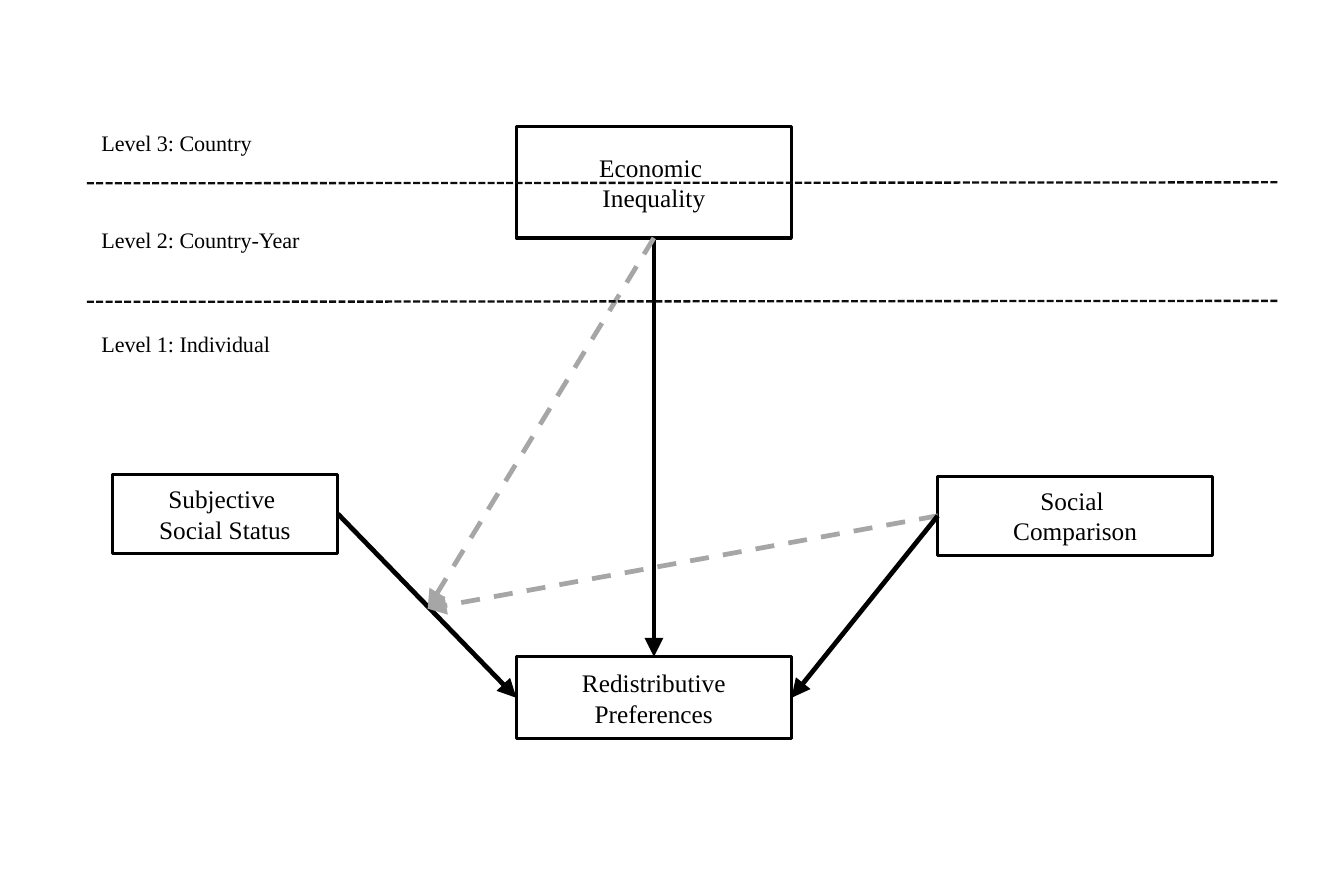
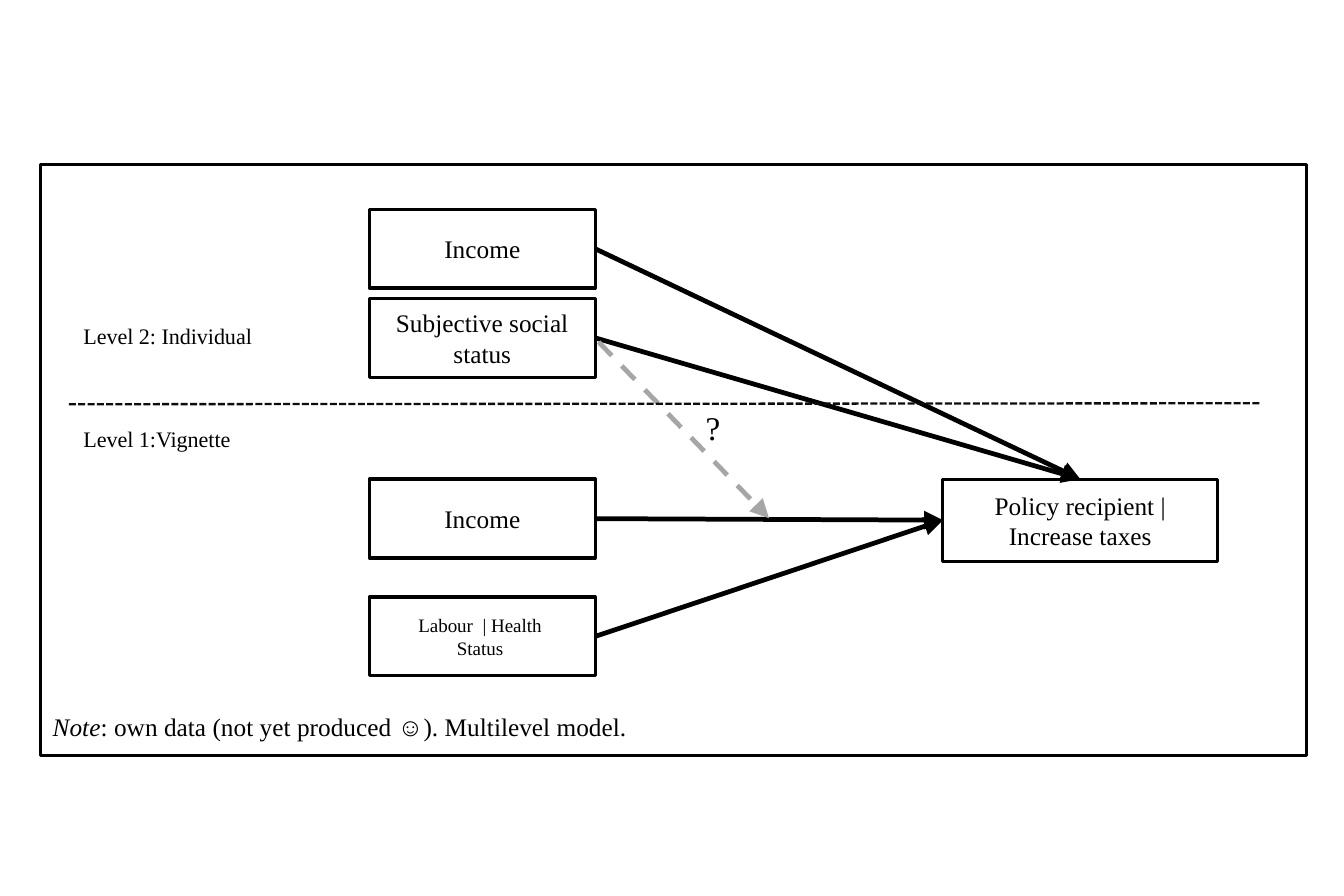
"""Build two multilevel path diagrams as slides."""
from dataclasses import dataclass
from typing import Union

import lxml.etree
import pptx
import pptx.dml.color
import pptx.enum.dml
import pptx.enum.shapes
import pptx.enum.text
import pptx.oxml.ns
import pptx.shapes.autoshape
import pptx.shapes.connector
import pptx.slide
import pptx.util

Pt = pptx.util.Pt
qn = pptx.oxml.ns.qn
Dash = pptx.enum.dml.MSO_LINE
Align = pptx.enum.text.PP_ALIGN
Anchor = pptx.enum.text.MSO_ANCHOR
Shape = pptx.shapes.autoshape.Shape

COLORS = {"ink": "000000", "paper": "FFFFFF", "moderation": "A6A6A6", "divider": "0D0D0D"}
FONT = "Times New Roman"
TOP, LEFT, BOTTOM, RIGHT = range(4)
TIGHT = (4.6, 2.3)
ROOMY = (7.2, 3.6)
WIDE, NARROW = 87, 71.4
LOW, MIDDLE, TALL = 25, 26, 35.4
LABEL_WIDTH, LABEL_HEIGHT = 84, 14
DIVIDER_WIDTH, DIVIDER_RISE = 377, 0.3


@dataclass(frozen=True)
class Area:
    left: float
    top: float
    width: float
    height: float


@dataclass(frozen=True)
class Node:
    key: str
    area: Area
    lines: tuple[str, ...]
    size: float = 8


@dataclass(frozen=True)
class Label:
    top: float
    text: str


@dataclass(frozen=True)
class Spot:
    x: float
    y: float


@dataclass(frozen=True)
class Joint:
    key: str
    side: int


@dataclass(frozen=True)
class Stroke:
    color: str
    width: float
    dash: Union[Dash, None] = None
    arrow: bool = True


@dataclass(frozen=True)
class Link:
    start: Union[Spot, Joint]
    finish: Union[Spot, Joint]
    stroke: Stroke


@dataclass(frozen=True)
class Diagram:
    margin: float
    nodes: tuple[Node, ...]
    labels: tuple[Label, ...]
    links: tuple[Link, ...]
    dividers: tuple[float, ...]


EFFECT = Stroke("ink", 1.5)
MODERATION = Stroke("moderation", 1.5, Dash.DASH)
DIVIDER = Stroke("divider", 0.75, Dash.SQUARE_DOT, arrow=False)

MEETING = Spot(135.3, 192.6)
COUNTRY_MODEL = Diagram(
    margin=27.5,
    nodes=(
        Node("comparison", Area(296.7, 150.7, WIDE, LOW), ("Social ", "Comparison")),
        Node("preferences", Area(163.4, 207.8, WIDE, MIDDLE), ("Redistributive", "Preferences")),
        Node("inequality", Area(163.4, 39.9, WIDE, TALL), ("Economic ", "Inequality")),
        Node("status", Area(35.5, 150.1, NARROW, LOW), ("Subjective ", "Social Status")),
    ),
    labels=(
        Label(38, "Level 3: Country"),
        Label(69, "Level 2: Country-Year"),
        Label(101.7, "Level 1: Individual"),
    ),
    links=(
        Link(Joint("status", RIGHT), Joint("preferences", LEFT), EFFECT),
        Link(Joint("inequality", BOTTOM), Joint("preferences", TOP), EFFECT),
        Link(Joint("comparison", LEFT), MEETING, MODERATION),
        Link(Joint("inequality", BOTTOM), MEETING, MODERATION),
        Link(Joint("comparison", LEFT), Joint("preferences", RIGHT), EFFECT),
    ),
    dividers=(58, 95.5),
)

FACTOR_LEFT = 116.9
VIGNETTE_MODEL = Diagram(
    margin=21.8,
    nodes=(
        Node("policy", Area(298.3, 151.6, WIDE, MIDDLE), ("Policy recipient | Increase taxes",)),
        Node("income", Area(FACTOR_LEFT, 66.2, NARROW, LOW), ("Income",)),
        Node("status", Area(FACTOR_LEFT, 94.4, NARROW, LOW), ("Subjective social status",)),
        Node("vignette income", Area(FACTOR_LEFT, 151.6, NARROW, LOW), ("Income",)),
        Node("labour", Area(FACTOR_LEFT, 188.9, NARROW, LOW), ("Labour  | Health ", "Status "), 6),
    ),
    labels=(Label(99.2, "Level 2: Individual"), Label(131.8, "Level 1:Vignette")),
    links=(
        Link(Joint("vignette income", RIGHT), Joint("policy", LEFT), EFFECT),
        Link(Joint("income", RIGHT), Joint("policy", TOP), EFFECT),
        Link(Joint("labour", RIGHT), Joint("policy", LEFT), EFFECT),
        Link(Joint("status", RIGHT), Joint("policy", TOP), EFFECT),
        Link(Spot(189.4, 108.2), Spot(243.3, 164), MODERATION),
    ),
    dividers=(127.9,),
)


def color(name: str) -> pptx.dml.color.RGBColor:
    return pptx.dml.color.RGBColor.from_string(COLORS[name])


def place(area: Area) -> tuple[pptx.util.Length, ...]:
    return Pt(area.left), Pt(area.top), Pt(area.width), Pt(area.height)


def write(box: Shape, lines: tuple[str, ...], size: float, align: Align,
          anchor: Anchor = Anchor.MIDDLE, insets: tuple[float, float] = TIGHT,
          wrap: bool = True) -> None:
    frame = box.text_frame
    frame.word_wrap = wrap
    frame.vertical_anchor = anchor
    frame.margin_left = frame.margin_right = Pt(insets[0])
    frame.margin_top = frame.margin_bottom = Pt(insets[1])
    frame.text = "\n".join(lines)
    for para in frame.paragraphs:
        para.alignment = align
        para.font.name = FONT
        para.font.size = Pt(size)
        para.font.color.rgb = color("ink")


def draw_rectangle(page: pptx.slide.Slide, area: Area) -> Shape:
    box = page.shapes.add_shape(pptx.enum.shapes.MSO_SHAPE.RECTANGLE, *place(area))
    box.shadow.inherit = False
    box.fill.solid()
    box.fill.fore_color.rgb = color("paper")
    box.line.color.rgb = color("ink")
    box.line.width = Pt(1)
    return box


def draw_node(page: pptx.slide.Slide, node: Node) -> Shape:
    box = draw_rectangle(page, node.area)
    write(box, node.lines, node.size, Align.CENTER)
    return box


def draw_label(page: pptx.slide.Slide, label: Label, margin: float) -> None:
    box = page.shapes.add_textbox(*place(Area(margin, label.top, LABEL_WIDTH, LABEL_HEIGHT)))
    write(box, (label.text,), 7, Align.LEFT)


def draw_link(page: pptx.slide.Slide, link: Link, boxes: dict[str, Shape]) -> None:
    start, finish = (end if isinstance(end, Spot) else Spot(0, 0)
                     for end in (link.start, link.finish))
    connector = page.shapes.add_connector(
        pptx.enum.shapes.MSO_CONNECTOR.STRAIGHT,
        Pt(start.x), Pt(start.y), Pt(finish.x), Pt(finish.y))
    for end, join in ((link.start, connector.begin_connect), (link.finish, connector.end_connect)):
        if isinstance(end, Joint):
            join(boxes[end.key], end.side)
    connector.line.color.rgb = color(link.stroke.color)
    connector.line.width = Pt(link.stroke.width)
    if link.stroke.dash is not None:
        connector.line.dash_style = link.stroke.dash
    properties = connector._element.spPr
    if link.stroke.arrow:
        lxml.etree.SubElement(properties.find(qn("a:ln")), qn("a:tailEnd"), type="triangle")
    lxml.etree.SubElement(properties, qn("a:effectLst"))


def draw_diagram(page: pptx.slide.Slide, diagram: Diagram) -> None:
    boxes = {node.key: draw_node(page, node) for node in diagram.nodes}
    for label in diagram.labels:
        draw_label(page, label, diagram.margin)
    dividers = tuple(
        Link(Spot(diagram.margin, y), Spot(diagram.margin + DIVIDER_WIDTH, y - DIVIDER_RISE), DIVIDER)
        for y in diagram.dividers)
    for link in diagram.links + dividers:
        draw_link(page, link, boxes)


def draw_remarks(page: pptx.slide.Slide) -> None:
    question = page.shapes.add_textbox(*place(Area(216.2, 125.3, 19.4, 20.9)))
    write(question, ("?",), 10.5, Align.LEFT, Anchor.TOP, ROOMY, wrap=False)
    note = page.shapes.add_textbox(*place(Area(9.6, 221.4, 261.4, 17.3)))
    write(note, ("Note",), 8, Align.LEFT, Anchor.TOP, ROOMY)
    para = note.text_frame.paragraphs[0]
    para.runs[0].font.italic = True
    para.add_run().text = ": own data (not yet produced ☺). Multilevel model."


def main() -> None:
    deck = pptx.Presentation()
    deck.slide_width, deck.slide_height = Pt(425.2), Pt(283.5)
    blank = deck.slide_layouts[6]
    draw_diagram(deck.slides.add_slide(blank), COUNTRY_MODEL)
    vignette_page = deck.slides.add_slide(blank)
    draw_rectangle(vignette_page, Area(12.8, 52, 400.7, 187.2))
    draw_diagram(vignette_page, VIGNETTE_MODEL)
    draw_remarks(vignette_page)
    deck.save("out.pptx")


if __name__ == "__main__":
    main()
